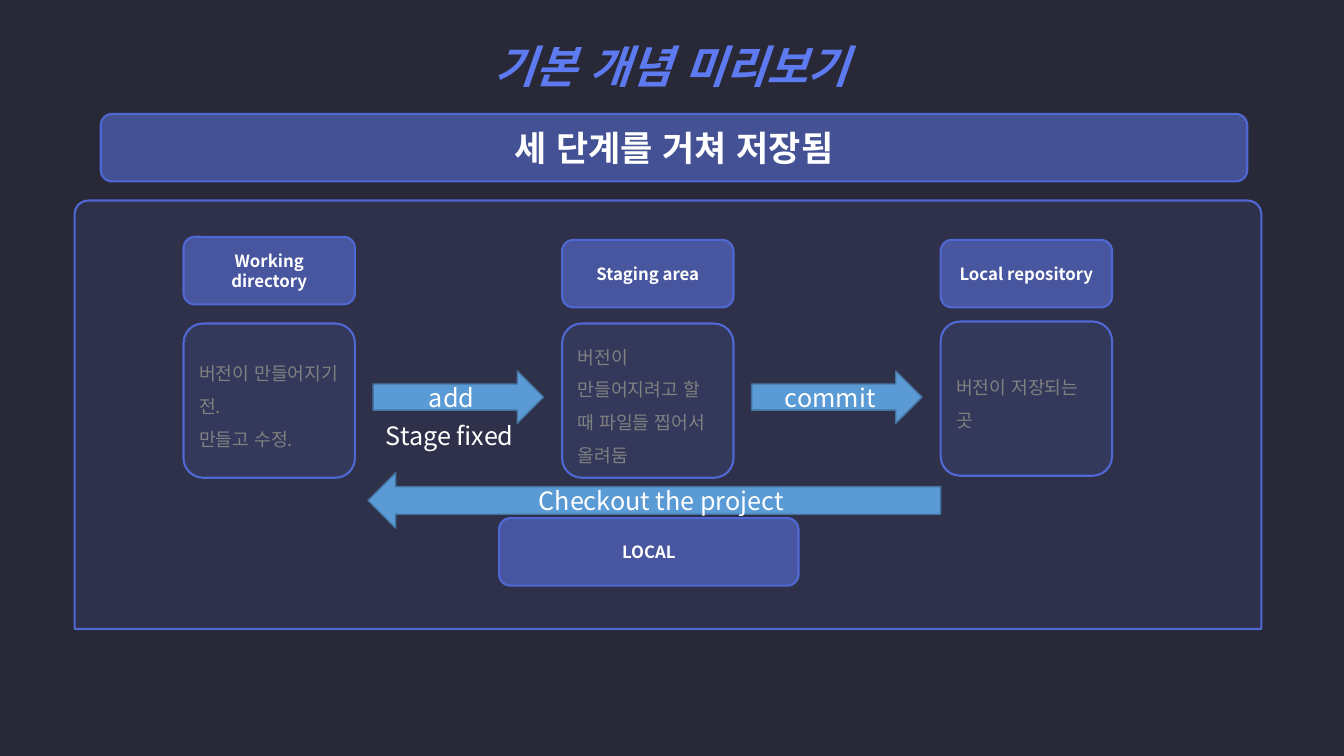
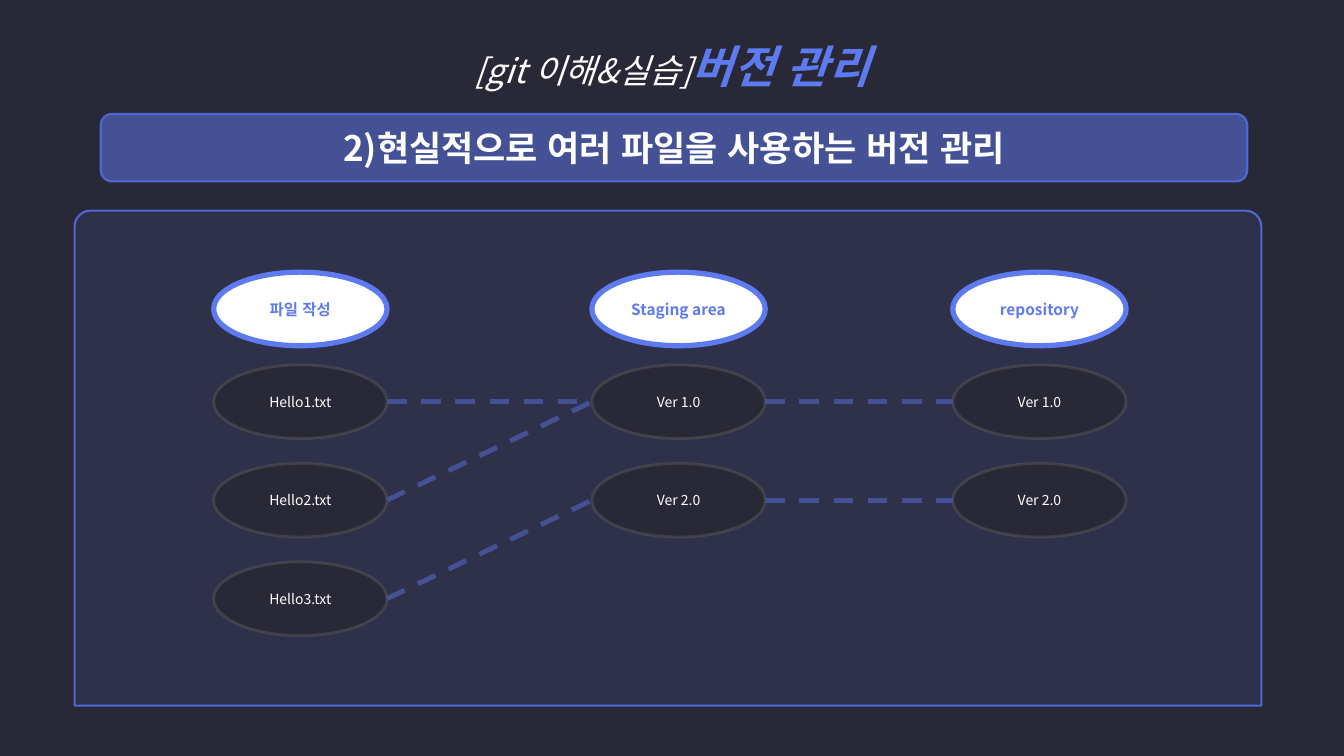
from lxml import etree
from pptx import Presentation
from pptx.dml.color import RGBColor
from pptx.enum.dml import MSO_LINE
from pptx.enum.lang import MSO_LANGUAGE_ID
from pptx.enum.shapes import MSO_CONNECTOR, MSO_SHAPE
from pptx.enum.text import MSO_ANCHOR, MSO_AUTO_SIZE, PP_ALIGN
from pptx.oxml.ns import qn
from pptx.util import Inches, Pt

ROUND, PANEL = MSO_SHAPE.ROUNDED_RECTANGLE, MSO_SHAPE.ROUND_2_SAME_RECTANGLE
OVAL, RIGHT, LEFT = MSO_SHAPE.OVAL, MSO_SHAPE.RIGHT_ARROW, MSO_SHAPE.LEFT_ARROW
STRAIGHT, DASH = MSO_CONNECTOR.STRAIGHT, MSO_LINE.DASH
TOP, MIDDLE = MSO_ANCHOR.TOP, MSO_ANCHOR.MIDDLE
AL_LEFT, AL_CENTER = PP_ALIGN.LEFT, PP_ALIGN.CENTER
GROW, KOREAN = MSO_AUTO_SIZE.SHAPE_TO_FIT_TEXT, MSO_LANGUAGE_ID.KOREAN

FONT = "Noto Sans CJK KR"
COLORS = {
    "bg": "292836", "accent": "5E7AF1", "tint": "607CF4", "edge": "5068D3",
    "white": "FFFFFF", "grey": "808080", "ring": "595959", "dash": "445295",
    "arrow": "5B9BD5", "arrow_edge": "43739E",
}
STYLES = {
    "band": {"fill": "tint", "alpha": 50, "line": "edge", "width": 1.5},
    "pane": {"fill": "tint", "alpha": 11, "line": "edge", "width": 1.5},
    "arrow": {"fill": "arrow", "line": "arrow_edge", "width": 1},
    "head": {"fill": "white", "line": "accent", "width": 3.75},
    "node": {"fill": "bg", "line": "ring", "width": 2, "line_alpha": 50},
}
SLIDE = (0, 0, 13.33, 7.5)
TITLE_AREA = (27.38, 0.93, 45.24, 10.67)
BAND_AREA = (7.5, 15.07, 85.3, 8.93)


def rgb(name):
    return RGBColor.from_string(COLORS[name])


def share(box, area):
    x, y, w, h = box
    px, py, pw, ph = (v / 100 for v in area)
    return x + w * px, y + h * py, w * pw, h * ph


def inches(box):
    return [Inches(v) for v in box]


def set_alpha(sp, route, percent):
    for color in sp._element.spPr.xpath(route + "a:solidFill/a:srgbClr"):
        etree.SubElement(color, qn("a:alpha")).set("val", str(percent * 1000))


def add_run(p, text, size, color="white", bold=False, italic=False):
    r = p.add_run()
    r.text = text
    r.font.size, r.font.bold, r.font.italic = Pt(size), bold, italic
    r.font.color.rgb = rgb(color)
    r.font.name = FONT
    r.font.language_id = KOREAN
    latin = r._r.rPr.find(qn("a:latin"))
    ea = etree.Element(qn("a:ea"))
    ea.set("typeface", FONT)
    latin.addnext(ea)


def write(tf, lines, size, align=AL_CENTER, spacing=None, **look):
    for i, text in enumerate(lines):
        p = tf.paragraphs[0] if i == 0 else tf.add_paragraph()
        p.alignment = align
        if spacing:
            p.line_spacing = spacing
        add_run(p, text, size, **look)


def add_box(s, kind, box, style, lines=(), size=12, adj=None, **look):
    sp = s.shapes.add_shape(kind, *inches(box))
    st = STYLES[style]
    sp.shadow.inherit = False
    sp.fill.solid()
    sp.fill.fore_color.rgb = rgb(st["fill"])
    sp.line.color.rgb = rgb(st["line"])
    sp.line.width = Pt(st["width"])
    if "alpha" in st:
        set_alpha(sp, "./", st["alpha"])
    if "line_alpha" in st:
        set_alpha(sp, "./a:ln/", st["line_alpha"])
    for i, value in enumerate(adj or ()):
        sp.adjustments[i] = value
    tf = sp.text_frame
    tf.word_wrap, tf.vertical_anchor = True, MIDDLE
    write(tf, lines, size, **look)


def add_link(s, start, end):
    c = s.shapes.add_connector(STRAIGHT, *inches((*start, *end)))
    c.line.color.rgb = rgb("dash")
    c.line.width = Pt(3.5)
    c.line.dash_style = DASH
    etree.SubElement(c._element.spPr, qn("a:effectLst"))


def add_page(prs, title_runs, heading, panel):
    s = prs.slides.add_slide(prs.slide_layouts[5])
    title = s.shapes.title
    title.left, title.top, title.width, title.height = inches(share(SLIDE, TITLE_AREA))
    tf = title.text_frame
    tf.word_wrap, tf.vertical_anchor, tf.auto_size = True, TOP, GROW
    p = tf.paragraphs[0]
    p.alignment, p.line_spacing = AL_CENTER, 1.5
    for text, size, color, bold in title_runs:
        add_run(p, text, size, color, bold, italic=True)
    add_box(s, PANEL, panel, "pane", adj=(0.032, 0))
    add_box(s, ROUND, share(SLIDE, BAND_AREA), "band", [heading], 25, bold=True)
    return s


def draw_stages(s, box):
    step, width = 31.9, 14.44
    stages = [
        ("Working directory", ["버전이 만들어지기 전.", "만들고 수정."], 8.47, 28.71),
        ("Staging area", ["버전이 만들어지려고 할 때 파일들 찝어서 올려둠"], 9.18, 28.71),
        ("Local repository", ["버전이 저장되는 곳"], 9.18, 28.24),
    ]
    add_box(s, ROUND, share(box, (35.77, 74.12, 25.23, 15.76)), "band", ["LOCAL"], bold=True)
    for i, (name, lines, name_y, text_y) in enumerate(stages):
        x = 9.18 + i * step
        add_box(s, ROUND, share(box, (x, text_y, width, 36)), "pane", lines, 13,
                adj=(0.126,), align=AL_LEFT, spacing=1.5, color="grey")
        add_box(s, ROUND, share(box, (x, name_y, width, 15.76)), "band", [name], bold=True)
    for i, command in enumerate(("add", "commit")):
        area = (25.15 + i * step, 39.76, 14.36, 12.24)
        add_box(s, RIGHT, share(box, area), "arrow", [command], 18)
    note = s.shapes.add_textbox(*inches(share(box, (25.4, 50.12, 13.08, 9.41))))
    tf = note.text_frame
    tf.word_wrap, tf.auto_size = False, GROW
    write(tf, ["Stage fixed"], 18, align=AL_LEFT)
    add_box(s, LEFT, share(box, (24.72, 63.53, 48.26, 12.94)), "arrow",
            ["Checkout the project"], 18)


def draw_versions(s, box):
    columns = [
        (11.72, "파일 작성", ["Hello1.txt", "Hello2.txt", "Hello3.txt"]),
        (43.59, "Staging area", ["Ver 1.0", "Ver 2.0"]),
        (74, "repository", ["Ver 1.0", "Ver 2.0"]),
    ]
    links = [((0, 0), (1, 0)), ((0, 1), (1, 0)), ((0, 2), (1, 1)),
             ((1, 0), (2, 0)), ((1, 1), (2, 1))]
    nodes = {}
    for col, (x, name, labels) in enumerate(columns):
        add_box(s, OVAL, share(box, (x, 12.42, 14.61, 14.87)), "head", [name], 11,
                color="accent", bold=True)
        for row, label in enumerate(labels):
            node = share(box, (x, 31.16 + row * 19.9, 14.61, 14.87))
            nodes[col, row] = node
            add_box(s, OVAL, node, "node", [label], 10)
    for a, b in links:
        ax, ay, aw, ah = nodes[a]
        bx, by, bw, bh = nodes[b]
        add_link(s, (ax + aw, ay + ah / 2), (bx, by + bh / 2))


def main():
    prs = Presentation()
    prs.slide_width, prs.slide_height = inches(SLIDE[2:])
    bg = prs.slide_master.background.fill
    bg.solid()
    bg.fore_color.rgb = rgb("bg")

    panel = share(SLIDE, (5.55, 26.53, 88.3, 56.67))
    s = add_page(prs, [("기본 개념 미리보기", 32, "accent", True)],
                 "세 단계를 거쳐 저장됨", panel)
    draw_stages(s, panel)

    panel = share(SLIDE, (5.55, 27.87, 88.3, 65.47))
    s = add_page(prs, [("[git 이해&실습]", 24, "white", False),
                       ("버전 관리", 32, "accent", True)],
                 "2)현실적으로 여러 파일을 사용하는 버전 관리", panel)
    draw_versions(s, panel)
    prs.save("out.pptx")


if __name__ == "__main__":
    main()
